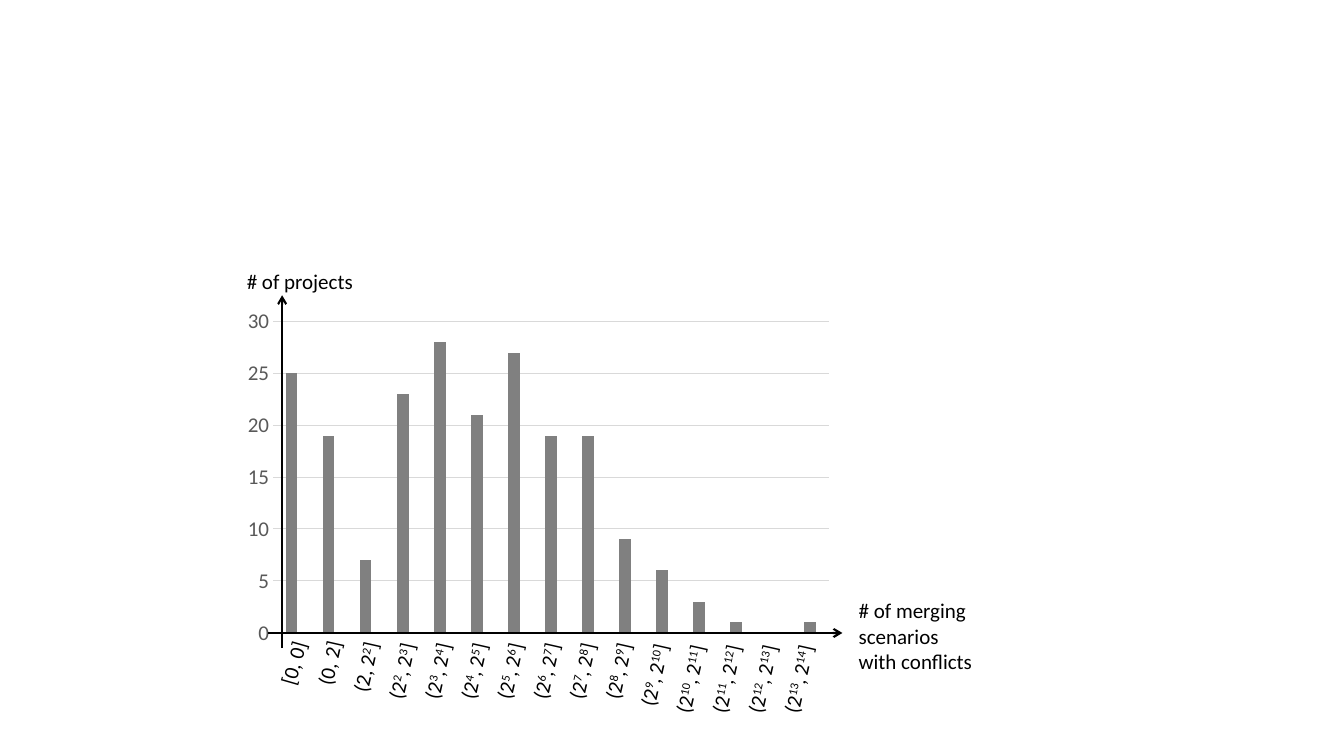
from lxml.etree import SubElement
from pptx import Presentation
from pptx.chart.data import CategoryChartData
from pptx.dml.color import RGBColor
from pptx.enum.chart import XL_CHART_TYPE, XL_TICK_MARK
from pptx.enum.shapes import MSO_CONNECTOR
from pptx.enum.text import MSO_AUTO_SIZE
from pptx.oxml.ns import qn
from pptx.util import Cm, Pt

COLORS = {"ink": "000000", "bar": "808080", "grid": "D9D9D9", "scale": "595959"}
FONT = "Calibri"
TEXT_SIZE = 15

project_counts = [25, 19, 7, 23, 28, 21, 27, 19, 19, 9, 6, 3, 1, 0, 1]
ranges = [["[0, 0]"], ["(0, 2]"], ["(2, 2", "2", "]"]] + [
    ["(2", str(power), ", 2", str(power + 1), "]"] for power in range(2, 14)
]
axis_titles = [
    ("# of projects", 5.97, 6.63, 3.45, 0.97),
    ("# of merging scenarios with conflicts", 21.39, 14.94, 3.43, 2.18),
]
axis_arrows = [
    (7.11, 16.33, 7.11, 7.44),
    (6.76, 15.95, 21.23, 15.95),
]
chart_box = (5.92, 7.62, 15.29, 8.81)
plot_share = {"x": 0.063, "y": 0.055, "w": 0.916, "h": 0.89}

FIRST_CENTER, RANGE_STEP, RANGE_TOP = 7.39, 0.91, 15.88
RANGE_HEIGHT, PLAIN_WIDTH, EXPONENT_WIDTH = 0.89, 1.63, 0.18
FIRST_TILT, RANGE_TILT = 285.9, 282.7


def color(name):
    return RGBColor.from_string(COLORS[name])


def style(font, name):
    font.size = Pt(TEXT_SIZE)
    font.name = FONT
    font.color.rgb = color(name)


def add_label(slide, parts, left, top, width, height, wrap):
    label = slide.shapes.add_textbox(Cm(left), Cm(top), Cm(width), Cm(height))
    frame = label.text_frame
    frame.word_wrap = wrap
    frame.auto_size = MSO_AUTO_SIZE.SHAPE_TO_FIT_TEXT
    paragraph = frame.paragraphs[0]
    style(paragraph.font, "ink")
    for index, part in enumerate(parts):
        run = paragraph.add_run()
        run.text = part
        if index % 2:
            run.font._element.set("baseline", "30000")
    return label


def add_histogram(slide):
    data = CategoryChartData()
    data.categories = [str(number + 1) for number in range(len(project_counts))]
    data.add_series("Series 1", project_counts)
    chart = slide.shapes.add_chart(
        XL_CHART_TYPE.COLUMN_CLUSTERED, *map(Cm, chart_box), data
    ).chart
    chart.has_title = False
    chart.has_legend = False
    chart.font.size = Pt(10)
    chart.font.name = FONT
    chart.font.color.rgb = color("ink")
    chart.category_axis.visible = False

    scale = chart.value_axis
    scale.minimum_scale, scale.maximum_scale, scale.major_unit = 0, 30, 5
    scale.major_tick_mark = scale.minor_tick_mark = XL_TICK_MARK.NONE
    scale.format.line.fill.background()
    style(scale.tick_labels.font, "scale")
    scale.has_major_gridlines = True
    grid = scale.major_gridlines.format.line
    grid.color.rgb = color("grid")
    grid.width = Pt(0.75)

    bars = chart.plots[0]
    bars.gap_width = 219
    bars.overlap = -27
    bars.vary_by_categories = False
    fill = bars.series[0].format.fill
    fill.solid()
    fill.fore_color.rgb = color("bar")

    plot_area = chart._chartSpace.find(".//" + qn("c:plotArea"))
    for old_layout in plot_area.findall(qn("c:layout")):
        plot_area.remove(old_layout)
    layout = SubElement(plot_area, qn("c:layout"))
    plot_area.insert(0, layout)
    manual = SubElement(layout, qn("c:manualLayout"))
    settings = {"layoutTarget": "inner", "xMode": "edge", "yMode": "edge", **plot_share}
    for tag, value in settings.items():
        SubElement(manual, qn("c:" + tag)).set("val", str(value))


def add_axis_arrow(slide, ends):
    arrow = slide.shapes.add_connector(MSO_CONNECTOR.STRAIGHT, *map(Cm, ends))
    arrow.line.color.rgb = color("ink")
    arrow.line.width = Pt(1.5)
    SubElement(arrow.line._get_or_add_ln(), qn("a:tailEnd")).set("type", "arrow")
    SubElement(arrow._element.spPr, qn("a:effectLst"))


def main():
    presentation = Presentation()
    presentation.slide_width = Cm(33.87)
    presentation.slide_height = Cm(19.05)
    slide = presentation.slides.add_slide(presentation.slide_layouts[6])

    add_histogram(slide)
    for ends in axis_arrows:
        add_axis_arrow(slide, ends)
    for title, *box in axis_titles:
        add_label(slide, [title], *box, True)
    for index, parts in enumerate(ranges):
        width = PLAIN_WIDTH + EXPONENT_WIDTH * len("".join(parts[1::2]))
        left = FIRST_CENTER + RANGE_STEP * index - width / 2
        top = RANGE_TOP + (width - RANGE_HEIGHT) / 2
        label = add_label(slide, parts, left, top, width, RANGE_HEIGHT, False)
        label.rotation = RANGE_TILT if index else FIRST_TILT

    presentation.save("out.pptx")


if __name__ == "__main__":
    main()
